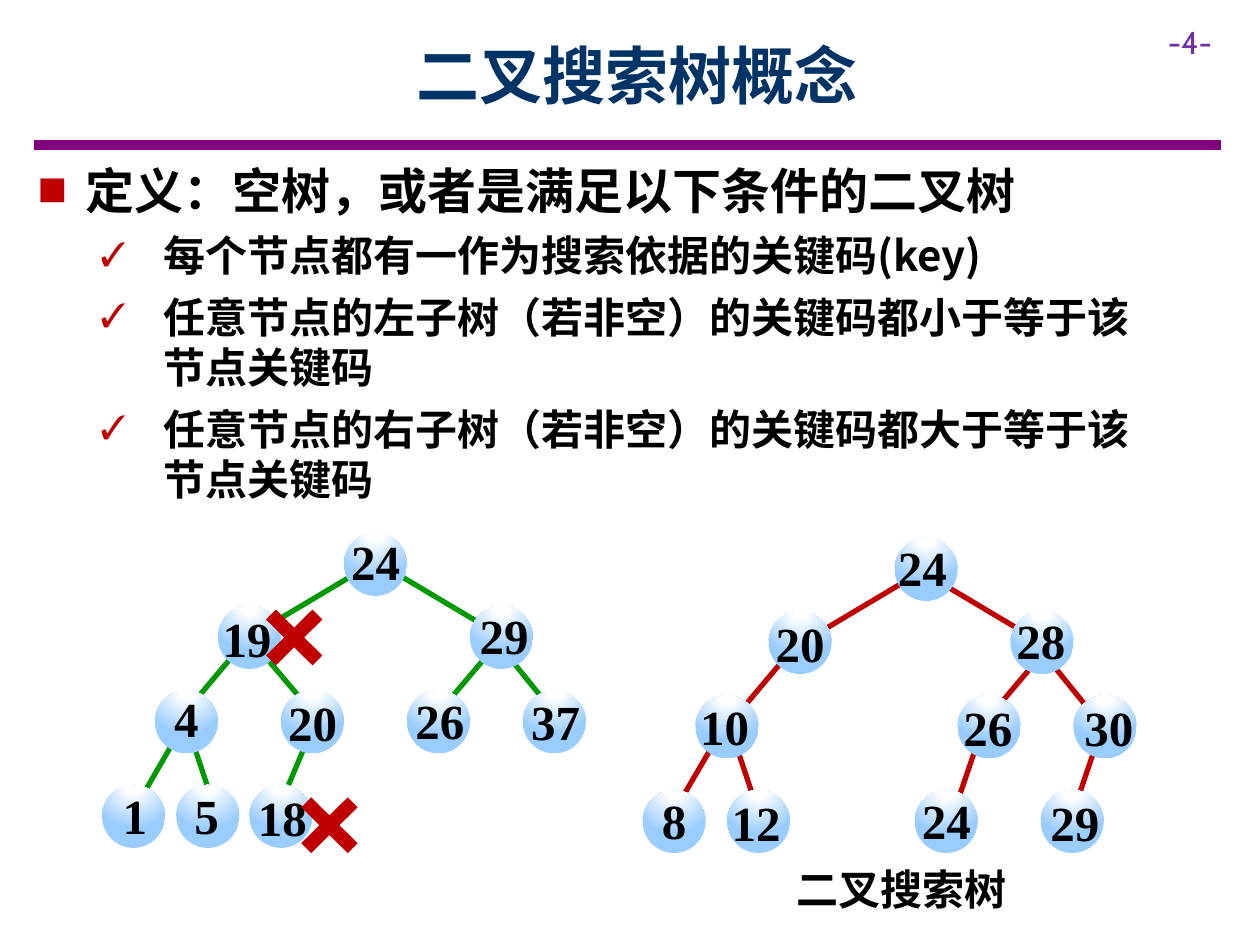
from lxml import etree
from pptx import Presentation
from pptx.dml.color import RGBColor
from pptx.enum.shapes import MSO_CONNECTOR, MSO_SHAPE
from pptx.enum.text import MSO_ANCHOR, MSO_AUTO_SIZE, PP_ALIGN
from pptx.oxml import parse_xml
from pptx.oxml.ns import nsdecls, qn
from pptx.util import Inches, Pt

LEFT, CENTER = PP_ALIGN.LEFT, PP_ALIGN.CENTER
TOP, MIDDLE = MSO_ANCHOR.TOP, MSO_ANCHOR.MIDDLE
OVAL, CROSS = MSO_SHAPE.OVAL, MSO_SHAPE.MATH_MULTIPLY
STRAIGHT = MSO_CONNECTOR.STRAIGHT

NAVY = RGBColor(0x00, 0x33, 0x66)
PLUM = RGBColor(0x80, 0x00, 0x80)
VIOLET = RGBColor(0x70, 0x30, 0xA0)
BLACK = RGBColor(0x00, 0x00, 0x00)
RED = RGBColor(0xC0, 0x00, 0x00)
GREEN = RGBColor(0x00, 0x99, 0x00)

HAN, ROMAN, CABIN = "Noto Sans CJK SC", "Times New Roman", "Cabin"
NODE = 0.5                        # node diameter
ROWS = (0, 0.58, 1.25, 2)         # node tops below the tree's top

POINTS = (
    (1, "定义：空树，或者是满足以下条件的二叉树"),
    (2, "每个节点都有一作为搜索依据的关键码(key)"),
    (2, "任意节点的左子树（若非空）的关键码都小于等于该节点关键码"),
    (2, "任意节点的右子树（若非空）的关键码都大于等于该节点关键码"),
)
# level: bullet, bullet scale, text size, line height, left margin, hang
LEVELS = {1: ("■", 100, 28, 33, 0.38, 0.38), 2: ("✓", 80, 24, 29, 1, 0.5)}

# Nodes: key, left, row, label shift right and down
# Edges: start x, y, end x, y; all relative to the tree's box
WRONG = dict(
    nodes=(
        ("24", 1.92, 0, 0, -0.03), ("19", 0.92, 1, -0.02, 0),
        ("29", 2.92, 1, 0.02, -0.02), ("4", 0.42, 2, 0, -0.03),
        ("20", 1.42, 2, 0, 0), ("26", 2.42, 2, 0.01, -0.02),
        ("37", 3.34, 2, 0.01, -0.01), ("1", 0, 3, 0.01, -0.01),
        ("5", 0.59, 3, -0.01, -0.01), ("18", 1.17, 3, 0.01, 0),
    ),
    edges=(
        (2.05, 0.3, 1.21, 0.8), (2.3, 0.3, 3.09, 0.77),
        (1.05, 0.96, 0.63, 1.46), (1.21, 0.88, 1.59, 1.33),
        (3.1, 0.92, 2.71, 1.38), (3.21, 0.96, 3.55, 1.38),
        (0.63, 1.55, 0.34, 2.05), (0.71, 1.63, 0.86, 2.08),
        (1.67, 1.55, 1.48, 2),
    ),
)
RIGHT = dict(
    nodes=(
        ("24", 2, 0, -0.03, -0.02), ("20", 1, 1, 0, 0),
        ("28", 2.92, 1, -0.01, -0.02), ("10", 0.42, 2, -0.02, -0.01),
        ("26", 2.5, 2, -0.01, 0), ("30", 3.42, 2, 0.03, 0),
        ("8", 0, 3, 0, -0.01), ("12", 0.67, 3, -0.02, 0),
        ("24", 2.16, 3, 0, -0.01), ("29", 3.16, 3, 0.02, 0),
    ),
    edges=(
        (2.09, 0.34, 1.25, 0.84), (2.34, 0.34, 3.13, 0.81),
        (1.09, 1, 0.67, 1.5), (3.14, 0.96, 2.75, 1.42),
        (3.25, 1, 3.59, 1.42), (0.59, 1.59, 0.25, 2.17),
        (0.75, 1.67, 0.9, 2.12), (2.67, 1.59, 2.5, 2.09),
        (3.59, 1.67, 3.42, 2.17),
    ),
)


def add_run(para, text, font, size, color, bold=True):
    run = para.add_run()
    run.text = text
    run.font.name, run.font.size, run.font.bold = font, Pt(size), bold
    run.font.color.rgb = color
    if font == HAN:
        east = etree.SubElement(run._r.get_or_add_rPr(), qn("a:ea"))
        east.set("typeface", font)


def add_box(slide, x, y, w, h, wrap=False, anchor=TOP):
    box = slide.shapes.add_textbox(Inches(x), Inches(y), Inches(w), Inches(h))
    frame = box.text_frame
    frame.auto_size = MSO_AUTO_SIZE.NONE
    frame.word_wrap, frame.vertical_anchor = wrap, anchor
    return frame


def add_line(slide, x1, y1, x2, y2, color, width):
    line = slide.shapes.add_connector(
        STRAIGHT, Inches(x1), Inches(y1), Inches(x2), Inches(y2))
    line.line.color.rgb, line.line.width = color, Pt(width)
    etree.SubElement(line._element.spPr, qn("a:effectLst"))


def add_plain(slide, kind, x, y, w, h):
    shape = slide.shapes.add_shape(
        kind, Inches(x), Inches(y), Inches(w), Inches(h))
    shape.shadow.inherit = False
    shape.line.fill.background()
    return shape


def add_head(slide, x, y, w, h):
    # Rule and page number
    add_line(slide, 0.27, 1.15, 9.69, 1.15, PLUM, 6)
    page = add_box(slide, 9.17, 0.13, 0.83, 0.4, wrap=True)
    add_run(page.paragraphs[0], "-4-", CABIN, 18, VIOLET, bold=False)
    # Title
    title = slide.shapes.title
    title.left, title.top = Inches(x), Inches(y)
    title.width, title.height = Inches(w), Inches(h)
    title.text_frame.vertical_anchor = MIDDLE
    para = title.text_frame.paragraphs[0]
    para.alignment = CENTER
    add_run(para, "二叉搜索树概念", HAN, 36, NAVY)


def add_points(slide, x, y, w, h):
    frame = add_box(slide, x, y, w, h, wrap=True)
    for i, (level, text) in enumerate(POINTS):
        mark, scale, size, pitch, left, hang = LEVELS[level]
        para = frame.add_paragraph() if i else frame.paragraphs[0]
        props = para._p.get_or_add_pPr()
        props.set("marL", str(Inches(left)))
        props.set("indent", str(-Inches(hang)))
        tint = etree.SubElement(props, qn("a:buClr"))
        etree.SubElement(tint, qn("a:srgbClr")).set("val", str(RED))
        etree.SubElement(props, qn("a:buSzPct")).set("val", str(scale * 1000))
        etree.SubElement(props, qn("a:buFont")).set("typeface", ROMAN)
        etree.SubElement(props, qn("a:buChar")).set("char", mark)
        para.level = level
        para.line_spacing, para.space_after = Pt(pitch), Pt(6)
        add_run(para, text, HAN, size, BLACK)


def add_node(slide, x, y):
    ball = add_plain(slide, OVAL, x, y, NODE, NODE)
    stops = "".join(
        f'<a:gs pos="{pos}"><a:srgbClr val="{color}"/></a:gs>'
        for pos, color in ((0, "FFFFFF"), (18000, "FFFFFF"), (100000, "99CCFF")))
    # The fill follows the position and the geometry
    ball._element.spPr.insert(2, parse_xml(
        f'<a:gradFill {nsdecls("a")} rotWithShape="1"><a:gsLst>{stops}</a:gsLst>'
        '<a:path path="circle"><a:fillToRect l="50000" t="-80000" r="50000"'
        ' b="180000"/></a:path></a:gradFill>'))


def add_tree(slide, x, y, tree, color):
    for x1, y1, x2, y2 in tree["edges"]:
        add_line(slide, x + x1, y + y1, x + x2, y + y2, color, 3)
    for key, left, row, dx, dy in tree["nodes"]:
        nx, ny = x + left, y + ROWS[row]
        add_node(slide, nx, ny)
        # The label is centred on its node, then shifted
        w, h = (0.59 if len(key) == 2 else 0.4), 0.57
        frame = add_box(slide, nx + (NODE - w) / 2 + dx,
                        ny + (NODE - h) / 2 + dy, w, h, anchor=MIDDLE)
        para = frame.paragraphs[0]
        para.alignment = CENTER
        add_run(para, key, ROMAN, 28, BLACK)


def add_cross(slide, x, y):
    cross = add_plain(slide, CROSS, x, y, 0.71, 0.7)
    cross.adjustments[0] = 0.159
    cross.fill.solid()
    cross.fill.fore_color.rgb = RED


def add_caption(slide, x, y, w, h):
    para = add_box(slide, x, y, w, h).paragraphs[0]
    para.alignment, para.line_spacing = LEFT, Pt(29)
    add_run(para, "二叉搜索树", HAN, 24, BLACK)


def main():
    deck = Presentation()
    deck.slide_width, deck.slide_height = Inches(10), Inches(7.5)
    slide = deck.slides.add_slide(deck.slide_layouts[5])
    add_head(slide, 0.9, 0.09, 8.31, 1)
    add_points(slide, 0.2, 1.23, 9.13, 2.84)
    add_tree(slide, 0.81, 4.23, WRONG, GREEN)
    add_tree(slide, 5.1, 4.27, RIGHT, RED)
    # Marks on the keys that break the order
    add_cross(slide, 1.98, 4.71)
    add_cross(slide, 2.26, 6.2)
    add_caption(slide, 6.22, 6.8, 1.88, 0.5)
    deck.save("out.pptx")


if __name__ == "__main__":
    main()
